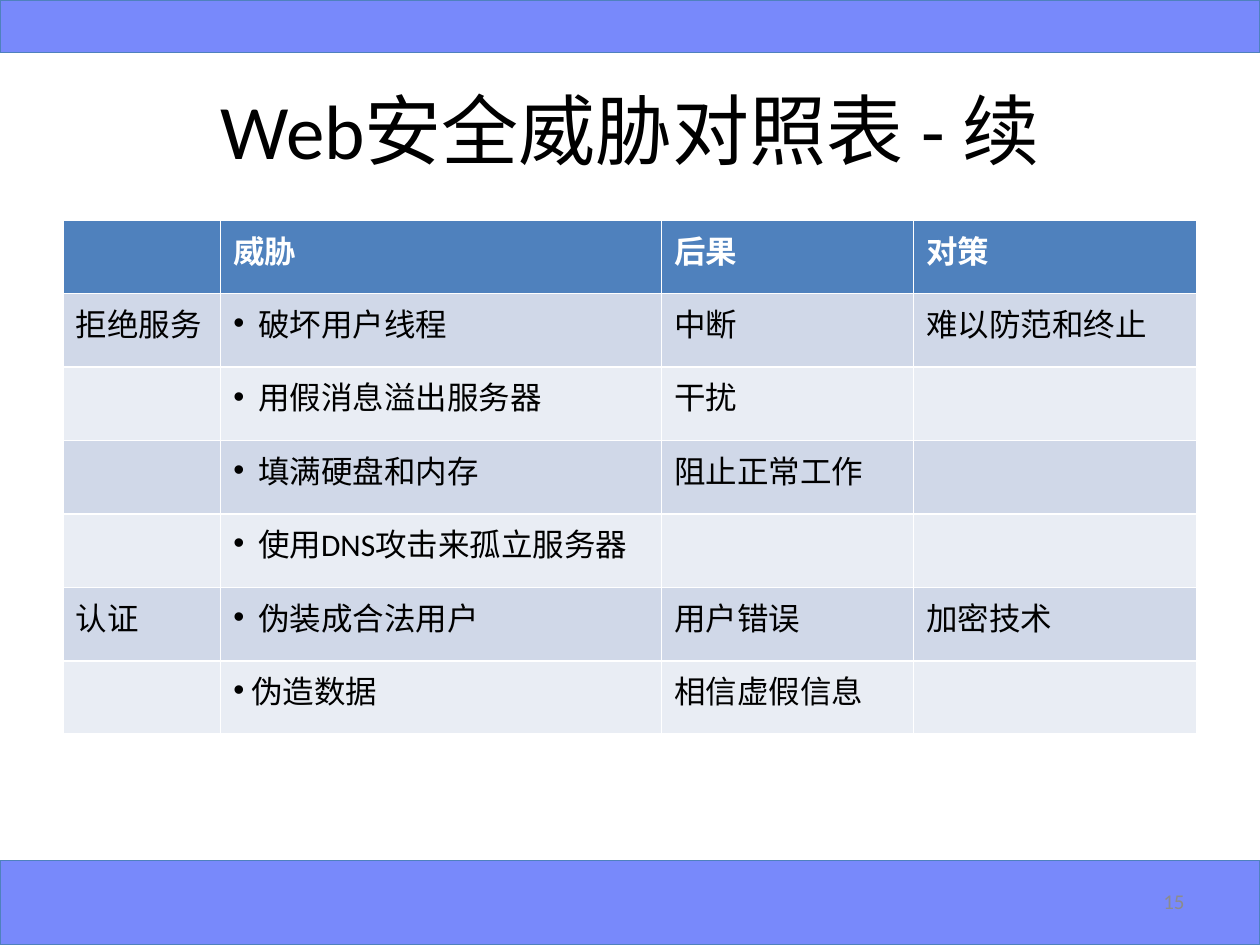
from lxml import etree
from pptx import Presentation
from pptx.dml.color import RGBColor
from pptx.enum import shapes, text
from pptx.oxml import ns
from pptx.util import Cm, Pt

TITLE = "Web安全威胁对照表 - 续"
PAGE_NUMBER = "15"
HEADER = ["", "威胁", "后果", "对策"]
THREATS = [
    ["拒绝服务", "破坏用户线程", "中断", "难以防范和终止"],
    ["", "用假消息溢出服务器", "干扰", ""],
    ["", "填满硬盘和内存", "阻止正常工作", ""],
    ["", "使用DNS攻击来孤立服务器", "", ""],
    ["认证", "伪装成合法用户", "用户错误", "加密技术"],
    ["", "伪造数据", "相信虚假信息", ""],
]
BULLET_COLUMN = 1
BULLET_INDENTS = [Cm(0.5)] * 5 + [Cm(0.36)]

BLACK = RGBColor(0x00, 0x00, 0x00)
WHITE = RGBColor(0xFF, 0xFF, 0xFF)
GREY = RGBColor(0x8C, 0x8C, 0x8C)
PERIWINKLE = RGBColor(0x78, 0x89, 0xFB)
BLUE = RGBColor(0x4F, 0x81, 0xBD)
BANDS = [RGBColor(0xD0, 0xD8, 0xE8), RGBColor(0xE9, 0xED, 0xF4)]

SLIDE_WIDTH, SLIDE_HEIGHT = Cm(25.4), Cm(19.05)
MARGIN = Cm(1.27)
CONTENT_WIDTH = SLIDE_WIDTH - 2 * MARGIN
TOP_BAR, BOTTOM_BAR = Cm(1.06), Cm(1.7)
COLUMN_WIDTHS = [Cm(3.18), Cm(8.89), Cm(5.08), Cm(5.71)]
ROW_HEIGHT = Cm(1.48)

TITLE_FONT = {"name": "Calibri", "size": Pt(44)}
NUMBER_FONT = {"name": "Calibri", "size": Pt(12)}
HEADER_FONT = {"name": "Calibri", "size": Pt(18), "bold": True}
BODY_FONT = {"name": "Calibri", "size": Pt(18), "bold": False}


def write(paragraph, content, font, color):
    run = paragraph.add_run()
    run.text = content
    for name, value in font.items():
        setattr(run.font, name, value)
    run.font.color.rgb = color


def add_bar(slide, top, height):
    bar = slide.shapes.add_shape(shapes.MSO_SHAPE.RECTANGLE, 0, top, SLIDE_WIDTH, height)
    bar.shadow.inherit = False
    bar.fill.solid()
    bar.fill.fore_color.rgb = PERIWINKLE
    bar.line.color.rgb = BLUE
    bar.line.width = Pt(0.75)


def add_bullet(paragraph, indent):
    properties = paragraph._p.get_or_add_pPr()
    properties.set("marL", str(indent))
    properties.set("indent", str(-indent))
    etree.SubElement(properties, ns.qn("a:buFont"), typeface="Arial")
    etree.SubElement(properties, ns.qn("a:buChar"), char="•")


def set_title(slide):
    title = slide.shapes.title
    box = {"left": MARGIN, "top": Cm(1.48), "width": CONTENT_WIDTH, "height": Cm(2.22)}
    for name, value in box.items():
        setattr(title, name, value)
    title.text_frame.vertical_anchor = text.MSO_ANCHOR.MIDDLE
    paragraph = title.text_frame.paragraphs[0]
    paragraph.alignment = text.PP_ALIGN.CENTER
    write(paragraph, TITLE, TITLE_FONT, BLACK)


def add_threat_table(slide):
    rows = [HEADER] + THREATS
    table = slide.shapes.add_table(
        len(rows), len(HEADER), MARGIN, Cm(4.44), CONTENT_WIDTH, ROW_HEIGHT * len(rows)
    ).table
    for column, width in zip(table.columns, COLUMN_WIDTHS):
        column.width = width
    for i, row in enumerate(rows):
        table.rows[i].height = ROW_HEIGHT
        is_header = i == 0
        fill = BLUE if is_header else BANDS[(i - 1) % 2]
        font, color = (HEADER_FONT, WHITE) if is_header else (BODY_FONT, BLACK)
        for j, content in enumerate(row):
            cell = table.cell(i, j)
            cell.fill.solid()
            cell.fill.fore_color.rgb = fill
            if not content:
                continue
            paragraph = cell.text_frame.paragraphs[0]
            write(paragraph, content, font, color)
            if j == BULLET_COLUMN and not is_header:
                add_bullet(paragraph, BULLET_INDENTS[i - 1])


def add_page_number(slide):
    width = Cm(5.93)
    box = slide.shapes.add_textbox(SLIDE_WIDTH - MARGIN - width, Cm(17.66), width, Cm(1.01))
    frame = box.text_frame
    frame.word_wrap = True
    frame.vertical_anchor = text.MSO_ANCHOR.MIDDLE
    paragraph = frame.paragraphs[0]
    paragraph.alignment = text.PP_ALIGN.RIGHT
    write(paragraph, PAGE_NUMBER, NUMBER_FONT, GREY)


def main():
    presentation = Presentation()
    presentation.slide_width, presentation.slide_height = SLIDE_WIDTH, SLIDE_HEIGHT
    slide = presentation.slides.add_slide(presentation.slide_layouts.get_by_name("Title Only"))
    add_bar(slide, SLIDE_HEIGHT - BOTTOM_BAR, BOTTOM_BAR)
    add_bar(slide, 0, TOP_BAR)
    set_title(slide)
    add_page_number(slide)
    add_threat_table(slide)
    presentation.save("out.pptx")


if __name__ == "__main__":
    main()
